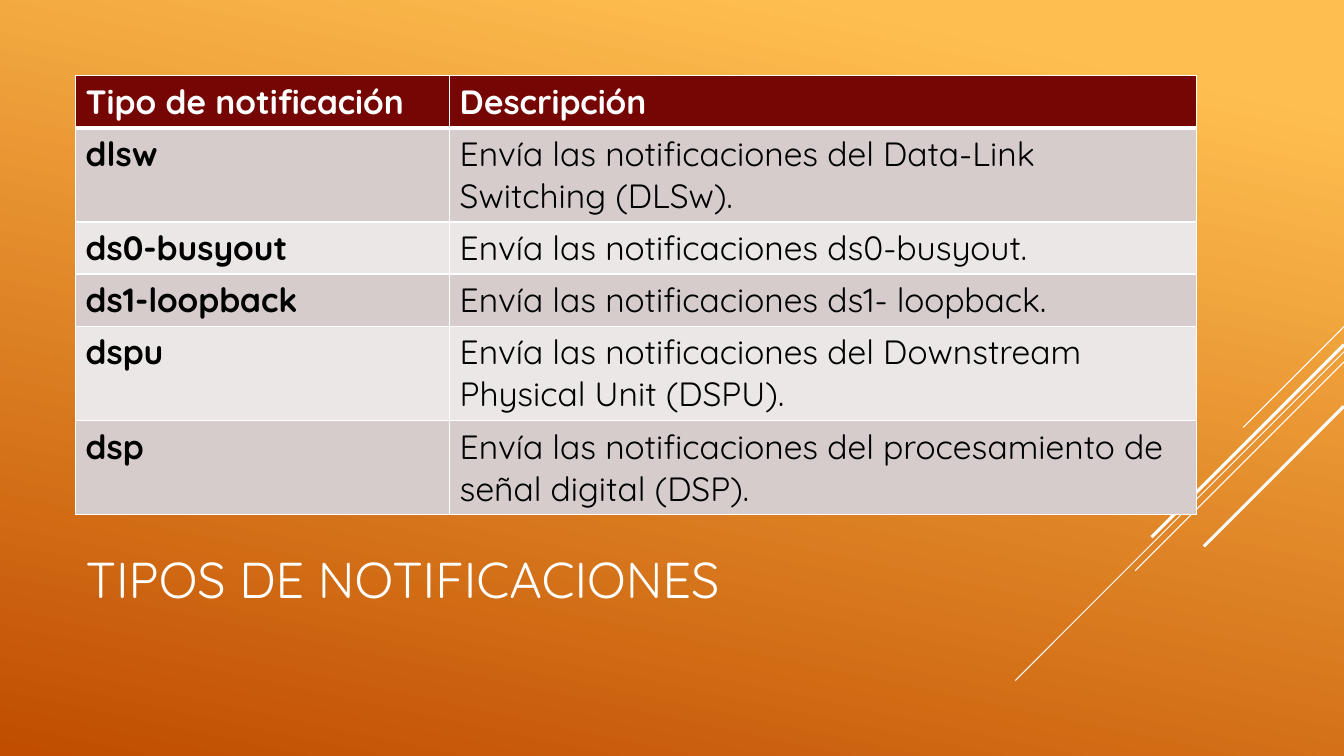
"""Build a slide with a table of notification types on an orange gradient."""
from lxml import etree
from pptx import Presentation
from pptx.dml.color import RGBColor
from pptx.enum import shapes, text
from pptx.oxml import ns
from pptx.util import Pt

WHITE = RGBColor(0xFF, 0xFF, 0xFF)
BLACK = RGBColor(0x00, 0x00, 0x00)
AMBER = RGBColor(0xFF, 0xBF, 0x50)
RUST = RGBColor(0xC0, 0x4D, 0x00)
MAROON = RGBColor(0x76, 0x06, 0x03)
DARK_BAND = RGBColor(0xD6, 0xCC, 0xCC)
LIGHT_BAND = RGBColor(0xEC, 0xE7, 0xE7)
FONT = "Quicksand"
WIDTH, HEIGHT = 960, 540


def set_font(paragraph, size, color, bold=False):
    paragraph.font.name = FONT
    paragraph.font.size = Pt(size)
    paragraph.font.bold = bold
    paragraph.font.color.rgb = color


def add_border(cell, side, width):
    properties = cell._tc.get_or_add_tcPr()
    line = etree.SubElement(properties, ns.qn(f"a:ln{side}"), w=str(Pt(width)))
    fill = etree.SubElement(line, ns.qn("a:solidFill"))
    etree.SubElement(fill, ns.qn("a:srgbClr"), val=str(WHITE))


presentation = Presentation()
presentation.slide_width, presentation.slide_height = Pt(WIDTH), Pt(HEIGHT)
slide = presentation.slides.add_slide(presentation.slide_layouts[5])

background = slide.background.fill
background.gradient()
background.gradient_angle = 258
for stop, color, position in zip(background.gradient_stops, (AMBER, RUST), (0.1, 1)):
    stop.color.rgb = color
    stop.position = position

diagonals = [
    (233.3, 72, 0.75),
    (251.3, 234.7, 0.75),
    (258.5, 149.2, 0.75),
    (246.2, 137.5, 2.25),
    (290.2, 100.1, 2.25),
]
for top, run, weight in diagonals:
    diagonal = slide.shapes.add_connector(
        shapes.MSO_CONNECTOR.STRAIGHT, Pt(WIDTH), Pt(top), Pt(WIDTH - run), Pt(top + run))
    diagonal.line.color.rgb = WHITE
    diagonal.line.width = Pt(weight)
    etree.SubElement(diagonal._element.spPr, ns.qn("a:effectLst"))

title = slide.shapes.title
title.left, title.top, title.width, title.height = Pt(54), Pt(353.5), Pt(672), Pt(118.8)
title.text_frame.text = "TIPOS DE NOTIFICACIONES"
title.text_frame.word_wrap = True
title.text_frame.vertical_anchor = text.MSO_ANCHOR.MIDDLE
title.text_frame.paragraphs[0].alignment = text.PP_ALIGN.LEFT
set_font(title.text_frame.paragraphs[0], 36, WHITE)

notifications = [
    ("Tipo de notificación", "Descripción"),
    ("dlsw", "Envía las notificaciones del Data-Link Switching (DLSw)."),
    ("ds0-busyout", "Envía las notificaciones ds0-busyout."),
    ("ds1-loopback", "Envía las notificaciones ds1- loopback."),
    ("dspu", "Envía las notificaciones del Downstream Physical Unit (DSPU)."),
    ("dsp", "Envía las notificaciones del procesamiento de señal digital (DSP)."),
]
row_heights = [36.7, 63.4, 36.7, 36.7, 63.4, 63.4]
column_widths = [267.2, 533.2]
table = slide.shapes.add_table(
    len(notifications), len(column_widths), Pt(54), Pt(54),
    Pt(sum(column_widths)), Pt(sum(row_heights))).table
for column, width in zip(table.columns, column_widths):
    column.width = Pt(width)
for row_index, (row, height) in enumerate(zip(table.rows, row_heights)):
    row.height = Pt(height)
    is_header = row_index == 0
    band = MAROON if is_header else DARK_BAND if row_index % 2 else LIGHT_BAND
    for column_index, cell in enumerate(row.cells):
        cell.text = notifications[row_index][column_index]
        set_font(cell.text_frame.paragraphs[0], 24, WHITE if is_header else BLACK,
                 bold=is_header or column_index == 0)
        add_border(cell, "L", 1)
        add_border(cell, "R", 1)
        add_border(cell, "T", 3 if row_index == 1 else 1)
        add_border(cell, "B", 3 if is_header else 1)
        cell.fill.solid()
        cell.fill.fore_color.rgb = band

presentation.save("out.pptx")
